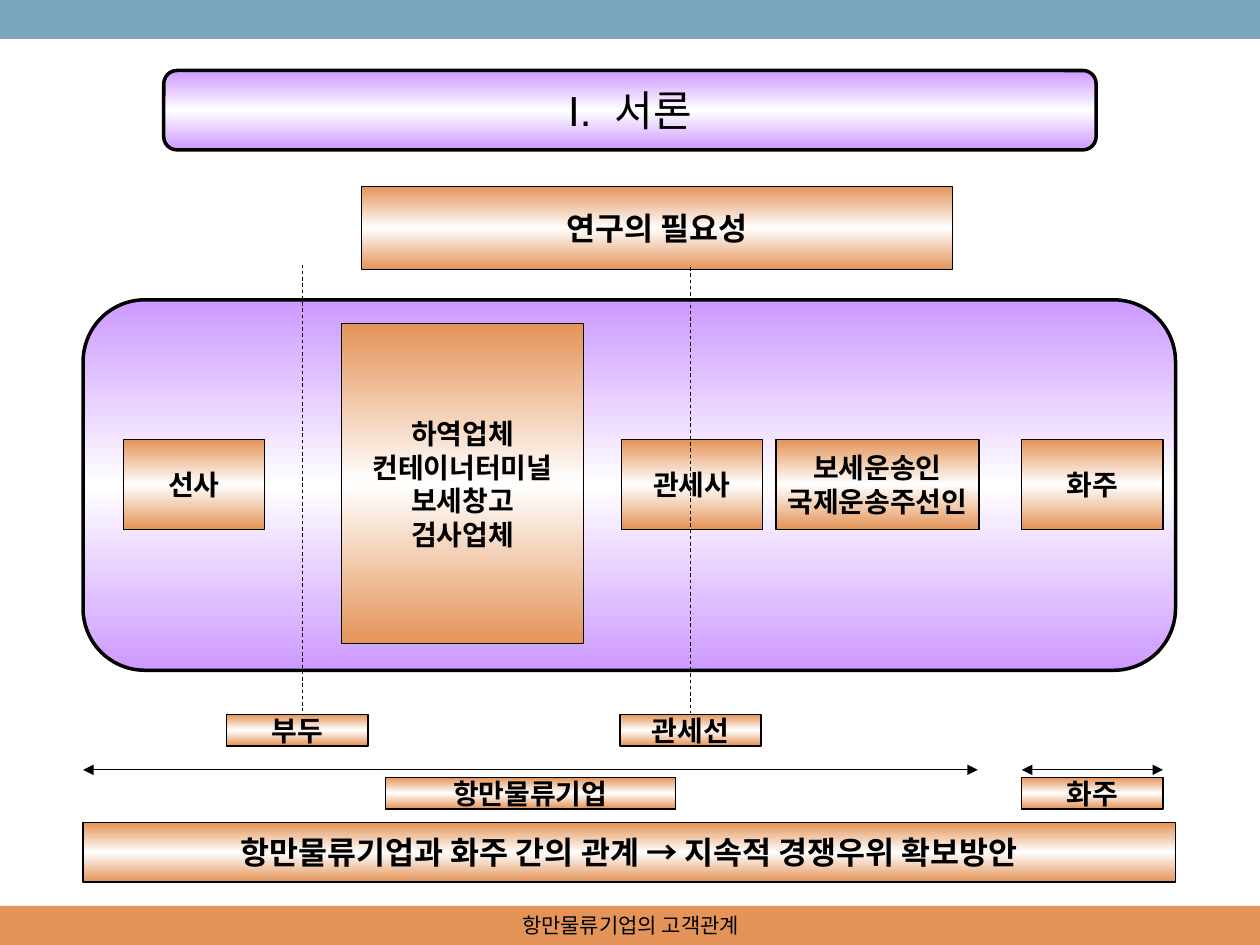
from lxml.etree import SubElement
from pptx import Presentation
from pptx.dml.color import RGBColor
from pptx.enum.dml import MSO_LINE
from pptx.enum.shapes import MSO_CONNECTOR, MSO_SHAPE
from pptx.enum.text import MSO_ANCHOR, PP_ALIGN
from pptx.oxml.ns import qn
from pptx.util import Inches, Pt

BLUE, ORANGE, VIOLET = "7BA5BE", "E49458", "CC99FF"
WHITE, BLACK = "FFFFFF", "000000"
SERIF = "Times New Roman"


def color(hex_code):
    return RGBColor.from_string(hex_code)


def add_form(slide, form, left, top, width, height):
    shape = slide.shapes.add_shape(
        form, Inches(left), Inches(top), Inches(width), Inches(height))
    shape.shadow.inherit = False
    return shape


def add_band(slide, top, fill):
    band = add_form(slide, MSO_SHAPE.RECTANGLE, 0, top, 10, 0.31)
    band.fill.solid()
    band.fill.fore_color.rgb = color(fill)
    band.line.fill.background()


def fill_sheen(shape, edge):
    """Vertical gradient: edge colour, white in the middle, edge colour."""
    shape.fill.background()
    properties = shape._element.spPr
    gradient = SubElement(properties, qn("a:gradFill"), rotWithShape="1")
    stops = SubElement(gradient, qn("a:gsLst"))
    for position, tone in ((0, edge), (50000, WHITE), (100000, edge)):
        stop = SubElement(stops, qn("a:gs"), pos=str(position))
        SubElement(stop, qn("a:srgbClr"), val=tone)
    SubElement(gradient, qn("a:lin"), ang="5400000", scaled="1")
    properties.replace(properties.find(qn("a:noFill")), gradient)


def set_outline(line, width):
    line.color.rgb = color(BLACK)
    line.width = Pt(width)


def add_run(paragraph, text, size, font, bold=False):
    run = paragraph.add_run()
    run.text = text
    run.font.size, run.font.name, run.font.bold = Pt(size), font, bold
    run.font.color.rgb = color(BLACK)
    return run


def center_frame(shape, wrap=False):
    frame = shape.text_frame
    frame.word_wrap = wrap
    frame.vertical_anchor = MSO_ANCHOR.MIDDLE
    frame.margin_top = frame.margin_bottom = 0
    frame.paragraphs[0].alignment = PP_ALIGN.CENTER
    return frame


def add_panel(slide, left, top, width, height):
    panel = add_form(slide, MSO_SHAPE.ROUNDED_RECTANGLE, left, top, width, height)
    fill_sheen(panel, VIOLET)
    set_outline(panel.line, 2)
    return panel


def add_box(slide, lines, left, top, width, height, size=16):
    box = add_form(slide, MSO_SHAPE.RECTANGLE, left, top, width, height)
    fill_sheen(box, ORANGE)
    set_outline(box.line, 0.75)
    frame = center_frame(box)
    for index, text in enumerate(lines):
        paragraph = frame.add_paragraph() if index else frame.paragraphs[0]
        paragraph.alignment = PP_ALIGN.CENTER
        add_run(paragraph, text, size, SERIF, bold=True)


def add_line(slide, x1, y1, x2, y2):
    connector = slide.shapes.add_connector(
        MSO_CONNECTOR.STRAIGHT, Inches(x1), Inches(y1), Inches(x2), Inches(y2))
    set_outline(connector.line, 0.5)
    SubElement(connector._element.spPr, qn("a:effectLst"))
    return connector


def add_span(slide, start, end):
    span = add_line(slide, start, 6.11, end, 6.11)
    stroke = span.line._get_or_add_ln()
    for tip in ("a:headEnd", "a:tailEnd"):
        SubElement(stroke, qn(tip), type="triangle")


def add_title(slide):
    panel = add_panel(slide, 1.3, 0.56, 7.4, 0.63)
    paragraph = center_frame(panel).paragraphs[0]
    layout = paragraph._p.get_or_add_pPr()
    layout.set("marL", str(Inches(0.38)))
    layout.set("indent", str(Inches(-0.38)))
    add_run(paragraph, "I.", 24, "Arial")
    gap = add_run(paragraph, " ", 24, "Arial")
    gap.font._element.set("spc", "650")
    add_run(paragraph, "서론", 24, "Arial")


def add_footer(slide):
    footer = slide.shapes.add_textbox(
        Inches(3.42), Inches(7.19), Inches(3.17), Inches(0.31))
    paragraph = center_frame(footer, wrap=True).paragraphs[0]
    add_run(paragraph, "항만물류기업의 고객관계", 12, "Cambria")


def main():
    deck = Presentation()
    deck.slide_width, deck.slide_height = Inches(10), Inches(7.5)
    slide = deck.slides.add_slide(deck.slide_layouts[6])

    # Frame of the page
    add_band(slide, 7.19, ORANGE)
    add_band(slide, 0, BLUE)
    add_title(slide)
    add_panel(slide, 0.66, 2.38, 8.67, 2.94)
    add_footer(slide)

    # Heading and conclusion
    add_box(slide, ["연구의 필요성"], 2.87, 1.48, 4.69, 0.66, 18)
    add_box(slide, ["항만물류기업과 화주 간의 관계 → 지속적 경쟁우위 확보방안"],
            0.66, 6.53, 8.67, 0.47, 18)

    # Parties along the logistics chain
    add_box(slide, ["하역업체", "컨테이너터미널", "보세창고", "검사업체"],
            2.71, 2.57, 1.92, 2.54)
    parties = [
        (["선사"], 0.98, 1.12),
        (["관세사"], 4.93, 1.12),
        (["보세운송인", "국제운송주선인"], 6.16, 1.61),
        (["화주"], 8.11, 1.12),
    ]
    for lines, left, width in parties:
        add_box(slide, lines, left, 3.49, width, 0.71)

    # Dashed borders with their labels
    for label, x, top, left in (("부두", 2.4, 2.1, 1.8), ("관세선", 5.48, 2.12, 4.92)):
        border = add_line(slide, x, top, x, top + 3.54)
        border.line.dash_style = MSO_LINE.DASH
        add_box(slide, [label], left, 5.67, 1.12, 0.25)

    # Spans of each group
    groups = [("항만물류기업", 0.66, 7.76, 3.06, 2.3),
              ("화주", 8.11, 9.23, 8.11, 1.12)]
    for label, start, end, left, width in groups:
        add_span(slide, start, end)
        add_box(slide, [label], left, 6.17, width, 0.25)

    deck.save("out.pptx")


main()
